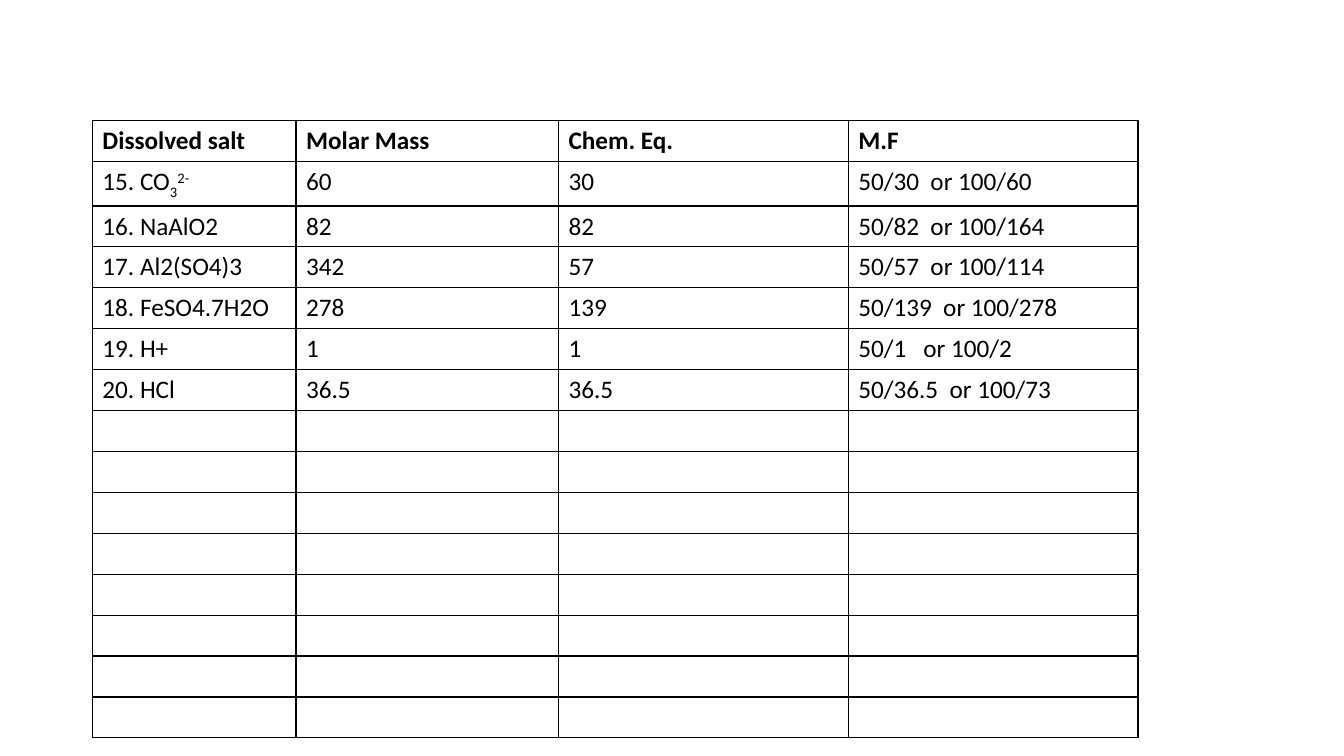
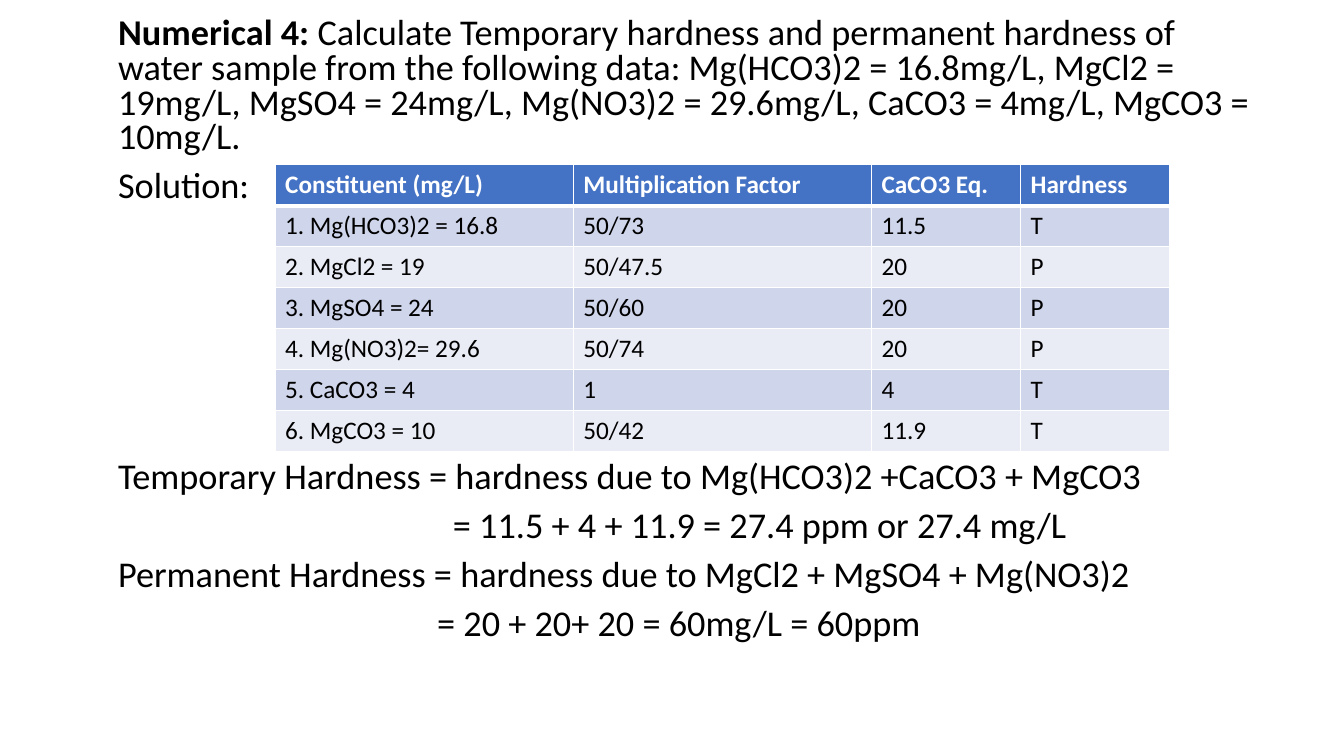
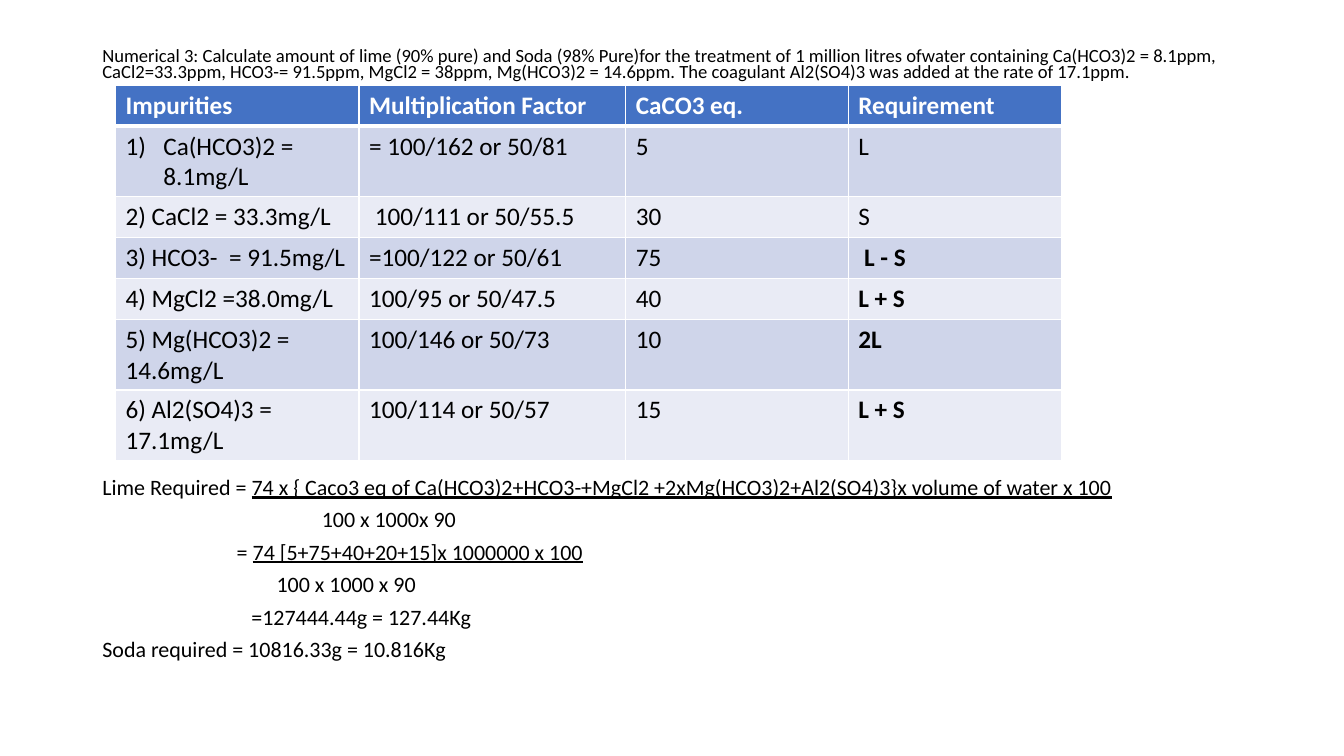
from lxml.etree import SubElement
from pptx import Presentation
from pptx.dml.color import RGBColor
from pptx.oxml.ns import qn
from pptx.util import Emu, Pt

SCALE = 9525
FONT = "Calibri"
BLACK, WHITE = "000000", "FFFFFF"
HEADER_FILL, BANDS = "4472C4", ("CFD5EA", "E9EBF5")
TABLE_SIZE = 18
ROW_HEIGHT = 39
BASELINES = {"sub": "-25000", "super": "30000"}

SALTS = [
    ["Dissolved salt", "Molar Mass", "Chem. Eq.", "M.F"],
    [[("15. CO", ""), ("3", "sub"), ("2-", "super")], "60", "30", "50/30  or 100/60"],
    ["16. NaAlO2", "82", "82", "50/82  or 100/164"],
    ["17. Al2(SO4)3", "342", "57", "50/57  or 100/114"],
    ["18. FeSO4.7H2O", "278", "139", "50/139  or 100/278"],
    ["19. H+", "1", "1", "50/1   or 100/2"],
    ["20. HCl", "36.5", "36.5", "50/36.5  or 100/73"],
] + [[""] * 4] * 8

HARDNESS = [
    ["Constituent (mg/L)", "Multiplication Factor", "CaCO3 Eq.", "Hardness"],
    ["1. Mg(HCO3)2 = 16.8", "50/73", "11.5", "T"],
    ["2. MgCl2 = 19", "50/47.5", "20", "P"],
    ["3. MgSO4 = 24", "50/60", "20", "P"],
    ["4. Mg(NO3)2= 29.6", "50/74", "20", "P"],
    ["5. CaCO3 = 4", "1", "4", "T"],
    ["6. MgCO3 = 10", "50/42", "11.9", "T"],
]

IMPURITIES = [
    ["Impurities", "Multiplication Factor", "CaCO3 eq.", "Requirement"],
    ["Ca(HCO3)2 = 8.1mg/L", "= 100/162 or 50/81", "5", "L"],
    ["2) CaCl2 = 33.3mg/L", " 100/111 or 50/55.5", "30", "S"],
    ["3) HCO3-  = 91.5mg/L", "=100/122 or 50/61", "75", [(" ", ""), ("L - S", "bold")]],
    ["4) MgCl2 =38.0mg/L", "100/95 or 50/47.5", "40", [("L + S", "bold")]],
    ["5) Mg(HCO3)2 = 14.6mg/L", "100/146 or 50/73", "10", [("2L", "bold")]],
    ["6) Al2(SO4)3 = 17.1mg/L", "100/114 or 50/57", "15", [("L + S", "bold")]],
]

HARDNESS_QUESTION = [
    ([("Numerical 4:", "bold"),
      (" Calculate Temporary hardness and permanent hardness of water sample from the "
       "following data: Mg(HCO3)2 = 16.8mg/L, MgCl2 = 19mg/L, MgSO4 = 24mg/L, "
       "Mg(NO3)2 = 29.6mg/L, CaCO3 = 4mg/L, MgCO3 = 10mg/L.", "")], 0),
    ("Solution:", 0),
]
HARDNESS_ANSWER = [
    ("Temporary Hardness = hardness due to Mg(HCO3)2 +CaCO3 + MgCO3", 0),
    ("= 11.5 + 4 + 11.9 = 27.4 ppm or 27.4 mg/L", 319),
    ("Permanent Hardness = hardness due to MgCl2 + MgSO4 + Mg(NO3)2", 0),
    ("= 20 + 20+ 20 = 60mg/L = 60ppm", 304),
]
LIME_QUESTION = [
    ("Numerical 3: Calculate amount of lime (90% pure) and Soda (98% Pure)for the treatment "
     "of 1 million litres ofwater containing Ca(HCO3)2 = 8.1ppm, CaCl2=33.3ppm, "
     "HCO3-= 91.5ppm, MgCl2 = 38ppm, Mg(HCO3)2 = 14.6ppm. The coagulant Al2(SO4)3 was "
     "added at the rate of 17.1ppm.", 0),
]
LIME_ANSWER = [
    ([("Lime Required = ", ""),
      ("74 x { Caco3 eq of Ca(HCO3)2+HCO3-+MgCl2 +2xMg(HCO3)2+Al2(SO4)3}"
       "x volume of water x 100", "underline")], 0),
    ("100 x 1000x 90", 209),
    ([("= ", ""), ("74 [5+75+40+20+15]x 1000000 x 100", "underline")], 128),
    ("100 x 1000 x 90", 166),
    ("=127444.44g = 127.44Kg", 142),
    ("Soda required = 10816.33g = 10.816Kg", 0),
]


def px(length):
    """Turn px into EMU."""
    return Emu(length * SCALE)


def color(value):
    """Turn a hex string into a colour."""
    return RGBColor.from_string(value)


def write_spans(para, content, size, ink=BLACK, bold=False):
    """Fill a paragraph with plain text or with (text, style) spans."""
    spans = [(content, "")] if isinstance(content, str) else content
    for text, style in spans:
        span = para.add_run()
        span.text = text
        font = span.font
        font.name, font.size = FONT, Pt(size)
        font.color.rgb = color(ink)
        font.bold = bold or style == "bold"
        if style == "underline":
            font.underline = True
        if style in BASELINES:
            span._r.get_or_add_rPr().set("baseline", BASELINES[style])


def indent(para, left, first=0):
    """Set the left margin and first-line indent of a paragraph."""
    properties = para._p.get_or_add_pPr()
    properties.set("marL", str(px(left)))
    properties.set("indent", str(px(first)))
    return properties


def number_paragraph(para):
    """Give a paragraph an automatic number with a hanging indent."""
    properties = indent(para, 36, -36)
    SubElement(properties, qn("a:buFont"), typeface="+mj-lt")
    SubElement(properties, qn("a:buAutoNum"), type="arabicParenR")


def add_text(slide, left, top, width, height, lines, size, spacing):
    """Add a text box of (content, indent) lines."""
    box = slide.shapes.add_textbox(px(left), px(top), px(width), px(height))
    frame = box.text_frame
    frame.word_wrap = True
    for index, (content, margin) in enumerate(lines):
        para = frame.add_paragraph() if index else frame.paragraphs[0]
        para.line_spacing = spacing
        para.space_before = Pt(10 if index else 0)
        indent(para, margin)
        write_spans(para, content, size)


def set_borders(cell, ink, top=1, bottom=1):
    """Draw the four borders of a cell, widths in points."""
    properties = cell._tc.get_or_add_tcPr()
    for side, width in (("L", 1), ("R", 1), ("T", top), ("B", bottom)):
        line = SubElement(properties, qn(f"a:ln{side}"), w=str(Pt(width)))
        fill = SubElement(line, qn("a:solidFill"))
        SubElement(fill, qn("a:srgbClr"), val=ink)


def style_cell(cell, row, banded):
    """Set the borders and fill of a cell by its row."""
    if not banded:
        set_borders(cell, BLACK)
        cell.fill.background()
        return
    set_borders(cell, WHITE, 3 if row == 1 else 1, 3 if row == 0 else 1)
    cell.fill.solid()
    cell.fill.fore_color.rgb = color(BANDS[(row - 1) % 2] if row else HEADER_FILL)


def add_grid(slide, left, top, widths, rows, banded=True):
    """Add a table with a bold header row."""
    frame = slide.shapes.add_table(len(rows), len(widths), px(left), px(top),
                                   px(sum(widths)), px(ROW_HEIGHT * len(rows)))
    table = frame.table
    table.first_row = table.horz_banding = False
    for column, width in zip(table.columns, widths):
        column.width = px(width)
    for row, contents in enumerate(rows):
        table.rows[row].height = px(ROW_HEIGHT)
        header_ink = WHITE if banded and row == 0 else BLACK
        for column, content in enumerate(contents):
            cell = table.cell(row, column)
            style_cell(cell, row, banded)
            if content:
                write_spans(cell.text_frame.paragraphs[0], content, TABLE_SIZE,
                            header_ink, row == 0)
    return table


def main():
    """Build the deck."""
    deck = Presentation()
    deck.slide_width, deck.slide_height = px(1280), px(720)
    salts, hardness, lime = (deck.slides.add_slide(deck.slide_layouts[6]) for _ in range(3))

    add_grid(salts, 88, 115, [194, 250, 276, 276], SALTS, banded=False)

    add_text(hardness, 103, 12, 1104, 190, HARDNESS_QUESTION, 25.9, 0.8)
    add_grid(hardness, 262, 157, [284, 284, 142, 142], HARDNESS)
    add_text(hardness, 103, 435, 1104, 190, HARDNESS_ANSWER, 25.9, 0.8)

    add_text(lime, 88, 43, 1175, 40, LIME_QUESTION, 13.3, 0.7)
    impurities = add_grid(lime, 110, 81, [232, 254, 212, 203], IMPURITIES)
    number_paragraph(impurities.cell(1, 0).text_frame.paragraphs[0])
    add_text(lime, 88, 453, 1175, 190, LIME_ANSWER, 15.7, 0.7)

    deck.save("out.pptx")


if __name__ == "__main__":
    main()
